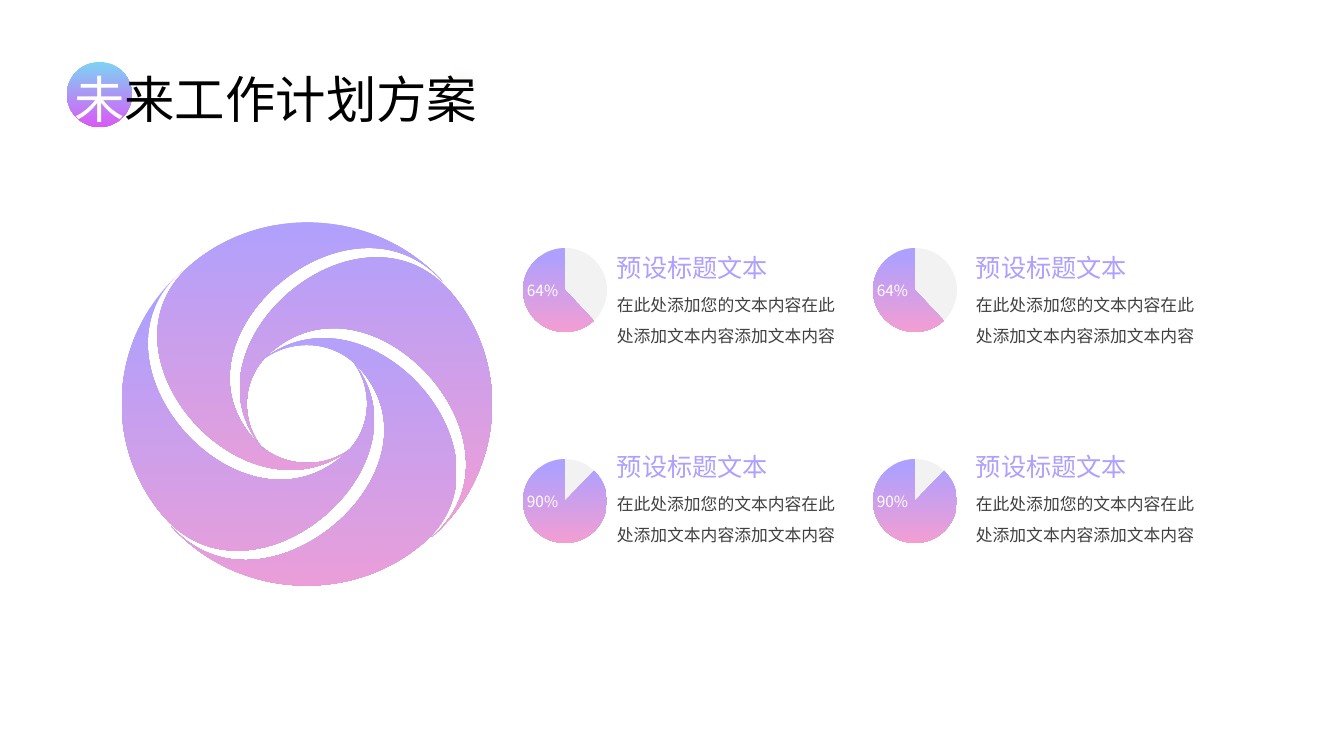
"""Build the work plan slide with a four-blade rotor and four labelled pies."""
import dataclasses

import pptx
import pptx.dml.color
import pptx.enum.shapes
import pptx.enum.text
import pptx.oxml
import pptx.oxml.ns
import pptx.util

PIXEL = 12192000 / 1344
SHAPE = pptx.enum.shapes.MSO_SHAPE
FIT = pptx.enum.text.MSO_AUTO_SIZE


@dataclasses.dataclass(frozen=True)
class Theme:
    """Colours, font and type sizes of the slide."""
    font: str = "Noto Sans CJK SC"
    title_size: int = 36
    heading_size: int = 18
    body_size: int = 12
    label_size: int = 11
    white: str = "FFFFFF"
    black: str = "000000"
    body: str = "404040"
    heading: str = "ADA0FF"
    pie_base: str = "F2F2F2"
    accent: tuple = ((0.08, "ADA0FF"), (1, "F39ED2"))
    badge: tuple = ((0, "7DD3F4"), (1, "DA59F5"))
    glow: tuple = ((0, "FBE779"), (1, "ADA0FF"))


THEME = Theme()
TITLE = ("未", "来工作计划方案")
HEADING = "预设标题文本"
BODY = "在此处添加您的文本内容在此处添加文本内容添加文本内容"
ROWS = (("64%", 46.98), ("90%", 313.94))
COLUMN_COUNT = 2
PIE_STEP = (350, 211)
TEXT_STEP = (359, 199)
ROTOR_CENTER = (307, 404)
ROTOR_STRETCH = 1.02
BLADE = (
    (136, -122),
    (72, -193), (-40, -202), (-114, -141),
    (-222, -52), (-60, 130), (46, 43),
    (16, 67), (-29, 64), (-54, 34),
    (-143, -68), (44, -226), (136, -122),
)


def emu(pixels):
    """Turn pixels into EMU."""
    return pptx.util.Emu(round(pixels * PIXEL))


def rgb(color):
    """Turn a hex string into a colour."""
    return pptx.dml.color.RGBColor.from_string(color)


def element(tag, attributes=""):
    """Make an empty drawing element."""
    return pptx.oxml.parse_xml(f'<a:{tag} {pptx.oxml.ns.nsdecls("a")} {attributes}/>')


def paint(shape, fill, angle=270):
    """Fill a shape with one colour or a gradient, without line or shadow."""
    shape.shadow.inherit = False
    shape.line.fill.background()
    if isinstance(fill, str):
        shape.fill.solid()
        shape.fill.fore_color.rgb = rgb(fill)
        return
    shape.fill.gradient()
    shape.fill.gradient_angle = angle
    for stop, (position, color) in zip(shape.fill.gradient_stops, fill):
        stop.position = position
        stop.color.rgb = rgb(color)


def style_run(run, size, color):
    """Set font, size and colour of a run."""
    run.font.size = pptx.util.Pt(size)
    run.font.color.rgb = rgb(color)
    run.font.name = THEME.font
    latin = run.font._element.find(pptx.oxml.ns.qn("a:latin"))
    latin.addnext(element("ea", f'typeface="{THEME.font}"'))


def place(shape, box):
    """Move and size a shape by a pixel box."""
    shape.left, shape.top, shape.width, shape.height = map(emu, box)


def add_preset(slide, kind, box, fill, angle=270):
    """Add a painted preset shape."""
    shape = slide.shapes.add_shape(kind, *map(emu, box))
    paint(shape, fill, angle)
    return shape


def add_text(slide, box, text, size, color, wrap=False, spacing=1):
    """Add a text box holding one paragraph."""
    shape = slide.shapes.add_textbox(*map(emu, box))
    shape.text_frame.word_wrap = wrap
    shape.text_frame.auto_size = FIT.SHAPE_TO_FIT_TEXT
    paragraph = shape.text_frame.paragraphs[0]
    paragraph.text = text
    paragraph.line_spacing = spacing
    style_run(paragraph.runs[0], size, color)


def add_glow(slide, box):
    """Add a faint circle with soft edges."""
    shape = add_preset(slide, SHAPE.OVAL, box, THEME.glow, 0)
    for color in shape.element.xpath(".//a:gs/a:srgbClr"):
        color.append(element("alpha", 'val="20000"'))
    effects = shape.element.xpath("./p:spPr/a:effectLst")[0]
    effects.append(element("softEdge", f'rad="{emu(14)}"'))


def add_title(slide):
    """Format the title and set it in front of its badge."""
    add_preset(slide, SHAPE.OVAL, (67, 62, 65, 65), THEME.badge)
    add_glow(slide, (433, 59, 57, 57))
    title = slide.shapes.title
    title.element.getparent().append(title.element)
    place(title, (64, 63, 440, 72))
    title.text_frame.vertical_anchor = pptx.enum.text.MSO_ANCHOR.TOP
    title.text_frame.auto_size = FIT.SHAPE_TO_FIT_TEXT
    paragraph = title.text_frame.paragraphs[0]
    paragraph.alignment = pptx.enum.text.PP_ALIGN.LEFT
    paragraph.line_spacing = 1
    for text, color in zip(TITLE, (THEME.white, THEME.black)):
        run = paragraph.add_run()
        run.text = text
        style_run(run, THEME.title_size, color)


def curve_outline(shape):
    """Join every three line segments of a freeform into one cubic curve."""
    lines = shape.element.xpath(".//a:lnTo")
    for index in range(0, len(lines), 3):
        curve = element("cubicBezTo")
        lines[index].addprevious(curve)
        for line in lines[index:index + 3]:
            curve.append(line[0])
            line.getparent().remove(line)


def add_rotor(slide):
    """Add four blades, each a quarter turn from the one before."""
    blade = BLADE
    for _ in range(4):
        outline = [tuple(emu(center + offset) for center, offset in zip(ROTOR_CENTER, point))
                   for point in blade]
        builder = slide.shapes.build_freeform(*outline[0], scale=1.0)
        builder.add_line_segments(outline[1:], close=True)
        shape = builder.convert_to_shape()
        curve_outline(shape)
        paint(shape, THEME.accent)
        blade = [(-y * ROTOR_STRETCH, x / ROTOR_STRETCH) for x, y in blade]


def add_pie(slide, left, top, label, start_angle):
    """Add a percentage pie over its pale disc."""
    box = (left, top, 84, 84)
    add_preset(slide, SHAPE.OVAL, box, THEME.pie_base)
    pie = add_preset(slide, SHAPE.PIE, box, THEME.accent)
    pie.adjustments[0] = start_angle * 0.6
    pie.adjustments[1] = 270 * 0.6
    add_text(slide, (left - 6, top + 28, 52, 29), label, THEME.label_size, THEME.white)


def add_caption(slide, left, top):
    """Add a heading with body text below it."""
    add_text(slide, (left, top, 172, 40), HEADING, THEME.heading_size, THEME.heading)
    add_text(slide, (left, top + 33, 249, 68), BODY, THEME.body_size, THEME.body, True, 1.5)


def main():
    """Build and save the slide."""
    presentation = pptx.Presentation()
    presentation.slide_width, presentation.slide_height = emu(1344), emu(756)
    slide = presentation.slides.add_slide(presentation.slide_layouts[5])
    add_title(slide)
    add_rotor(slide)
    for column in range(COLUMN_COUNT):
        for row, (label, start_angle) in enumerate(ROWS):
            add_pie(slide, 523 + column * PIE_STEP[0], 248 + row * PIE_STEP[1],
                    label, start_angle)
            add_caption(slide, 607 + column * TEXT_STEP[0], 247 + row * TEXT_STEP[1])
    presentation.save("out.pptx")


main()
